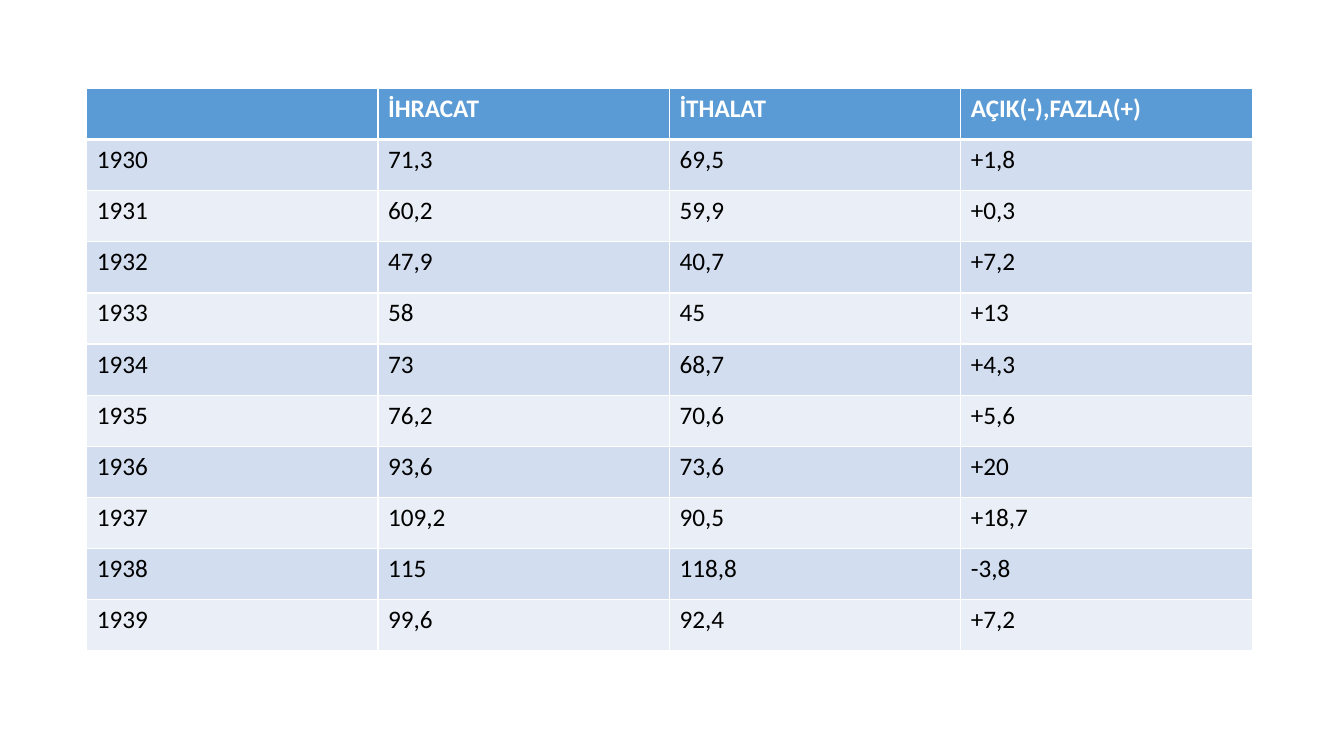
from lxml import etree
from pptx import Presentation
from pptx.dml.color import RGBColor
from pptx.oxml.ns import qn
from pptx.util import Inches, Pt

HEADER_BLUE = RGBColor(0x5B, 0x9B, 0xD5)
BAND_BLUE = RGBColor(0xD2, 0xDE, 0xEF)
BAND_PALE = RGBColor(0xEA, 0xEF, 0xF7)
WHITE = RGBColor(0xFF, 0xFF, 0xFF)
BLACK = RGBColor(0, 0, 0)

BODY_FONT = {"name": "Calibri", "size": Pt(18), "bold": False}
HEADER_FONT = {**BODY_FONT, "bold": True}
THIN, THICK = Pt(1), Pt(3)

TRADE_BALANCE = [
    ("", "İHRACAT", "İTHALAT", "AÇIK(-),FAZLA(+)"),
    ("1930", "71,3", "69,5", "+1,8"),
    ("1931", "60,2", "59,9", "+0,3"),
    ("1932", "47,9", "40,7", "+7,2"),
    ("1933", "58", "45", "+13"),
    ("1934", "73", "68,7", "+4,3"),
    ("1935", "76,2", "70,6", "+5,6"),
    ("1936", "93,6", "73,6", "+20"),
    ("1937", "109,2", "90,5", "+18,7"),
    ("1938", "115", "118,8", "-3,8"),
    ("1939", "99,6", "92,4", "+7,2"),
]


class SlideBuilder:
    """Holds the current slide and its table style."""

    def __init__(self, deck):
        self.width, self.height = deck.slide_width, deck.slide_height
        self.slide = deck.slides.add_slide(deck.slide_layouts[6])

    def table(self, rows, left, top, width, height):
        """Add a banded table; its frame is in percent of the slide."""
        x, w = (round(self.width * share / 100) for share in (left, width))
        y, h = (round(self.height * share / 100) for share in (top, height))
        table = self.slide.shapes.add_table(len(rows), len(rows[0]), x, y, w, h).table
        table.horz_banding = False
        for r, values in enumerate(rows):
            for c, value in enumerate(values):
                self.cell(table.cell(r, c), value, r)

    def cell(self, cell, value, row):
        header = row == 0
        # The heavy rule under the header is shared with the first year
        self.borders(cell, {
            "lnL": THIN,
            "lnR": THIN,
            "lnT": THICK if row == 1 else THIN,
            "lnB": THICK if header else THIN,
        })
        cell.fill.solid()
        band = BAND_BLUE if row % 2 else BAND_PALE
        cell.fill.fore_color.rgb = HEADER_BLUE if header else band
        if value:
            run = cell.text_frame.paragraphs[0].add_run()
            run.text = value
            for attribute, setting in (HEADER_FONT if header else BODY_FONT).items():
                setattr(run.font, attribute, setting)
            run.font.color.rgb = WHITE if header else BLACK

    def borders(self, cell, widths):
        properties = cell._tc.get_or_add_tcPr()
        for side, width in widths.items():
            line = etree.SubElement(properties, qn(f"a:{side}"), w=str(width))
            fill = etree.SubElement(line, qn("a:solidFill"))
            etree.SubElement(fill, qn("a:srgbClr"), val=str(WHITE))


deck = Presentation()
deck.slide_width, deck.slide_height = Inches(13.33), Inches(7.5)

# Foreign trade by year
trade_slide = SlideBuilder(deck)
trade_slide.table(TRADE_BALANCE, left=6.45, top=11.7, width=86.72, height=74.4)

deck.save("out.pptx")
